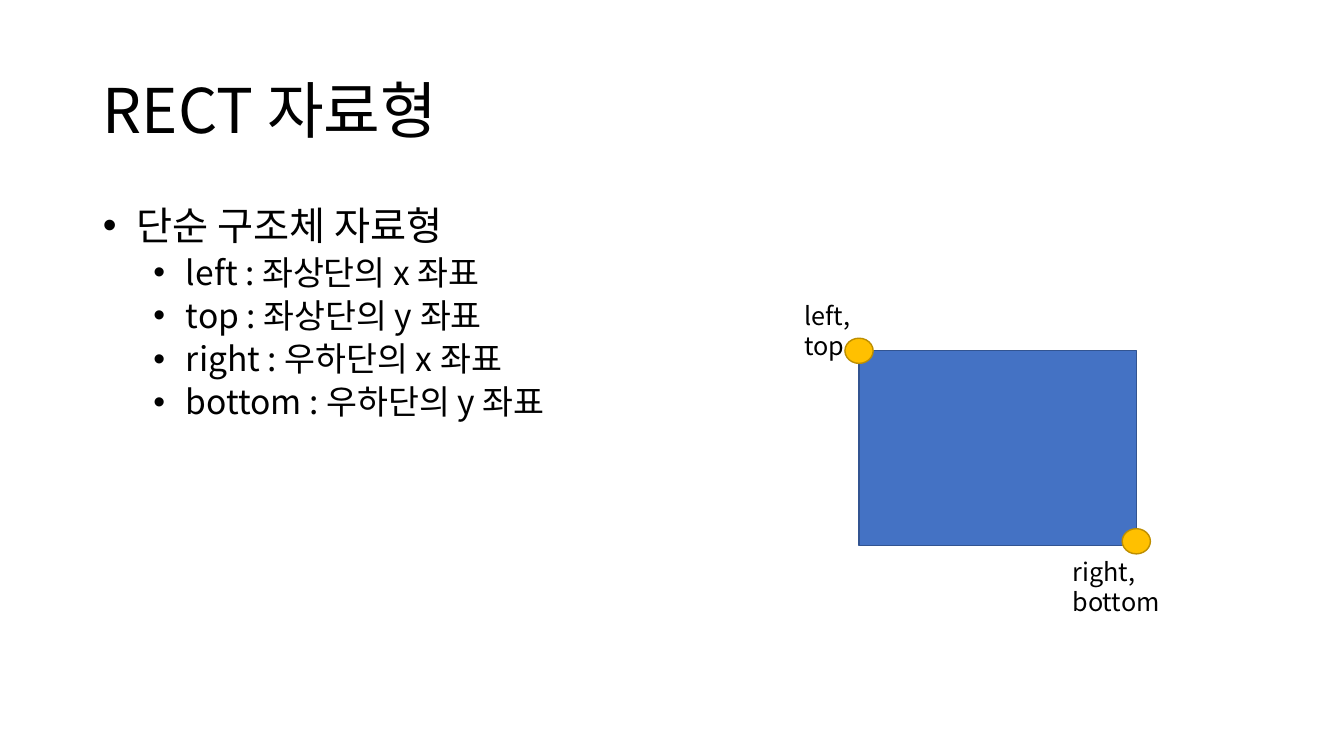
from lxml import etree
from pptx import Presentation
from pptx.dml.color import RGBColor
from pptx.enum.shapes import MSO_SHAPE
from pptx.enum.text import MSO_ANCHOR, MSO_AUTO_SIZE, PP_ALIGN
from pptx.oxml.ns import qn
from pptx.util import Inches, Pt

RECT, OVAL = MSO_SHAPE.RECTANGLE, MSO_SHAPE.OVAL
LEFT, MIDDLE, TOP = PP_ALIGN.LEFT, MSO_ANCHOR.MIDDLE, MSO_ANCHOR.TOP
NO_FIT = MSO_AUTO_SIZE.NONE
FONT = "Noto Sans CJK KR"

TITLE = "RECT 자료형"
BODY = [
    (0, " 단순 구조체 자료형"),
    (1, " left : 좌상단의 x 좌표"),
    (1, " top : 좌상단의 y 좌표"),
    (1, " right : 우하단의 x 좌표"),
    (1, " bottom : 우하단의 y 좌표"),
]
LEVELS = [dict(size=28, before=10, indent=0.25), dict(size=24, before=5, indent=0.75)]
LABELS = [("left, top", (7.88, 2.93, 1.05, 0.4)),
          ("right, bottom", (10.54, 5.47, 1.65, 0.4))]

SLIDE_W, SLIDE_H = 13.33, 7.5
MARGIN, CONTENT_W = 0.92, 11.5
BOX = (8.52, 3.48, 2.75, 1.93)
DOT_W, DOT_H = 0.28, 0.25


def color(value):
    return RGBColor.from_string(value)


def place(s, x, y, w, h):
    s.left, s.top, s.width, s.height = map(Inches, (x, y, w, h))


def write(p, text, size, before=0, spacing=1.0, indent=None):
    p.alignment = LEFT
    p.line_spacing = spacing
    p.space_before, p.space_after = Pt(before), Pt(0)
    r = p.add_run()
    r.text = text
    r.font.size, r.font.name = Pt(size), FONT
    r.font.color.rgb = color("000000")
    etree.SubElement(r.font._element, qn("a:ea"), typeface=FONT)
    if indent is not None:
        pPr = p._p.get_or_add_pPr()
        pPr.set("marL", str(Inches(indent)))
        pPr.set("indent", str(-Inches(0.25)))
        etree.SubElement(pPr, qn("a:buFont"), typeface="Arial")
        etree.SubElement(pPr, qn("a:buChar"), char="•")


def add_figure(slide, kind, bounds, fill, line):
    s = slide.shapes.add_shape(kind, *map(Inches, bounds))
    s.shadow.inherit = False
    s.fill.solid()
    s.fill.fore_color.rgb = color(fill)
    s.line.color.rgb = color(line)
    s.line.width = Pt(1)


def main():
    prs = Presentation()
    prs.slide_width, prs.slide_height = Inches(SLIDE_W), Inches(SLIDE_H)
    slide = prs.slides.add_slide(prs.slide_layouts[1])
    title, body = slide.placeholders

    place(title, MARGIN, 0.4, CONTENT_W, 1.45)
    tf = title.text_frame
    tf.vertical_anchor, tf.auto_size = MIDDLE, NO_FIT
    write(tf.paragraphs[0], TITLE, 44, spacing=0.9)

    place(body, MARGIN, 2, CONTENT_W, 4.76)
    tf = body.text_frame
    tf.vertical_anchor, tf.auto_size = TOP, NO_FIT
    for i, (level, text) in enumerate(BODY):
        p = tf.add_paragraph() if i else tf.paragraphs[0]
        p.level = level
        write(p, text, spacing=0.9, **LEVELS[level])

    add_figure(slide, RECT, BOX, "4472C4", "325491")
    for text, bounds in LABELS:
        tf = slide.shapes.add_textbox(*map(Inches, bounds)).text_frame
        tf.word_wrap = True
        write(tf.paragraphs[0], text, 18)

    x, y, w, h = BOX
    for corner_x, corner_y in ((x, y), (x + w, y + h - 0.04)):
        dot = (corner_x - DOT_W / 2, corner_y - DOT_H / 2, DOT_W, DOT_H)
        add_figure(slide, OVAL, dot, "FFC000", "BD8E00")

    prs.save("out.pptx")


if __name__ == "__main__":
    main()
